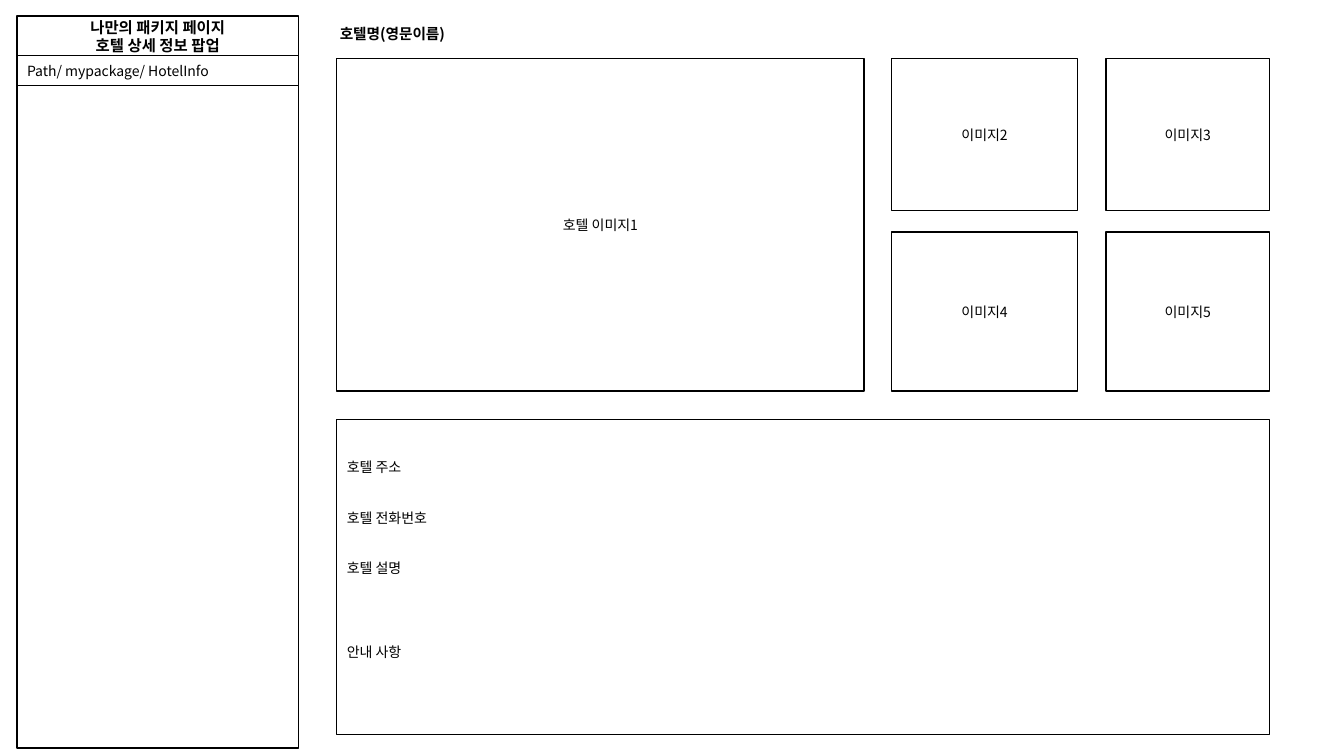
from lxml.etree import SubElement
from pptx import Presentation
from pptx.dml.color import RGBColor
from pptx.enum.shapes import MSO_SHAPE
from pptx.enum.text import MSO_ANCHOR, MSO_AUTO_SIZE, PP_ALIGN
from pptx.oxml.ns import qn
from pptx.util import Inches, Pt

BLACK = RGBColor(0, 0, 0)
WHITE = RGBColor(255, 255, 255)
FONT = "Noto Sans CJK KR"


def place(shape, left, top, width, height):
    shape.left, shape.top = Inches(left), Inches(top)
    shape.width, shape.height = Inches(width), Inches(height)


def format_text(shape, size, align=PP_ALIGN.LEFT, bold=False, pitch=None):
    frame = shape.text_frame
    frame.word_wrap = True
    frame.auto_size = MSO_AUTO_SIZE.NONE
    frame.vertical_anchor = MSO_ANCHOR.MIDDLE
    for paragraph in frame.paragraphs:
        paragraph.alignment = align
        if pitch:
            paragraph.line_spacing = Pt(pitch)
        for run in paragraph.runs:
            run.font.size = Pt(size)
            run.font.bold = bold
            run.font.color.rgb = BLACK
            run.font.name = FONT
            # East Asian typeface for the Korean text
            SubElement(run.font._element, qn("a:ea"), typeface=FONT)


def add_panel(slide, left, top, width, height, text=""):
    panel = slide.shapes.add_shape(
        MSO_SHAPE.RECTANGLE, Inches(left), Inches(top), Inches(width), Inches(height))
    panel.shadow.inherit = False
    panel.fill.solid()
    panel.fill.fore_color.rgb = WHITE
    panel.line.color.rgb = BLACK
    panel.line.width = Pt(1)
    panel.text_frame.text = text
    return panel


def add_sidebar(slide, left, top, width, height):
    path_top = top + 0.39
    add_panel(slide, left, top + 0.54, width, height - 0.54)
    heading = add_panel(slide, left, top, width, 0.41,
                        "나만의 패키지 페이지\n호텔 상세 정보 팝업")
    format_text(heading, 11, PP_ALIGN.CENTER, bold=True, pitch=12.9)
    page_path = add_panel(slide, left, path_top, width, 0.3, "Path/ mypackage/ HotelInfo")
    format_text(page_path, 10)


def add_hotel_name(slide, left, top, width, height):
    hotel_name = slide.shapes.title
    place(hotel_name, left, top, width, height)
    hotel_name.text_frame.text = "호텔명(영문이름)"
    format_text(hotel_name, 10.5, bold=True)


def add_gallery(slide, left, top, width, height):
    main_image = add_panel(slide, left, top, 5.23, height, "호텔 이미지1")
    format_text(main_image, 10, PP_ALIGN.CENTER)

    # Two by two grid of smaller images, set against the right edge
    columns = [(left + 5.5, 1.85), (left + width - 1.62, 1.62)]
    rows = [(top, 1.51), (top + height - 1.58, 1.58)]
    number = 2
    for row_top, row_height in rows:
        for column_left, column_width in columns:
            image = add_panel(slide, column_left, row_top, column_width, row_height,
                              f"이미지{number}")
            format_text(image, 10, PP_ALIGN.CENTER)
            number += 1


def add_hotel_info(slide, left, top, width, height):
    info = slide.placeholders[1]
    place(info, left, top, width, height)
    info.line.color.rgb = BLACK
    info.line.width = Pt(0.75)
    # Each item with the gap above it, in points
    items = [("호텔 주소", 0), ("호텔 전화번호", 24), ("호텔 설명", 24), ("안내 사항", 48)]
    info.text_frame.text = "\n".join(label for label, gap in items)
    for paragraph, (label, gap) in zip(info.text_frame.paragraphs, items):
        properties = paragraph._p.get_or_add_pPr()
        properties.set("marL", "0")
        properties.set("indent", "0")
        SubElement(properties, qn("a:buNone"))
        paragraph.space_before = Pt(gap)
    format_text(info, 10, pitch=12)
    info.text_frame.vertical_anchor = MSO_ANCHOR.TOP
    info.text_frame.margin_top = Inches(0.39)


def main():
    presentation = Presentation()
    presentation.slide_width = Inches(13.33)
    presentation.slide_height = Inches(7.5)
    slide = presentation.slides.add_slide(presentation.slide_layouts[1])
    add_sidebar(slide, 0.17, 0.16, 2.79, 7.26)
    add_hotel_name(slide, 3.27, 0.19, 2.31, 0.28)
    add_gallery(slide, 3.34, 0.58, 9.25, 3.3)
    add_hotel_info(slide, 3.34, 4.16, 9.25, 3.13)
    presentation.save("out.pptx")


if __name__ == "__main__":
    main()
